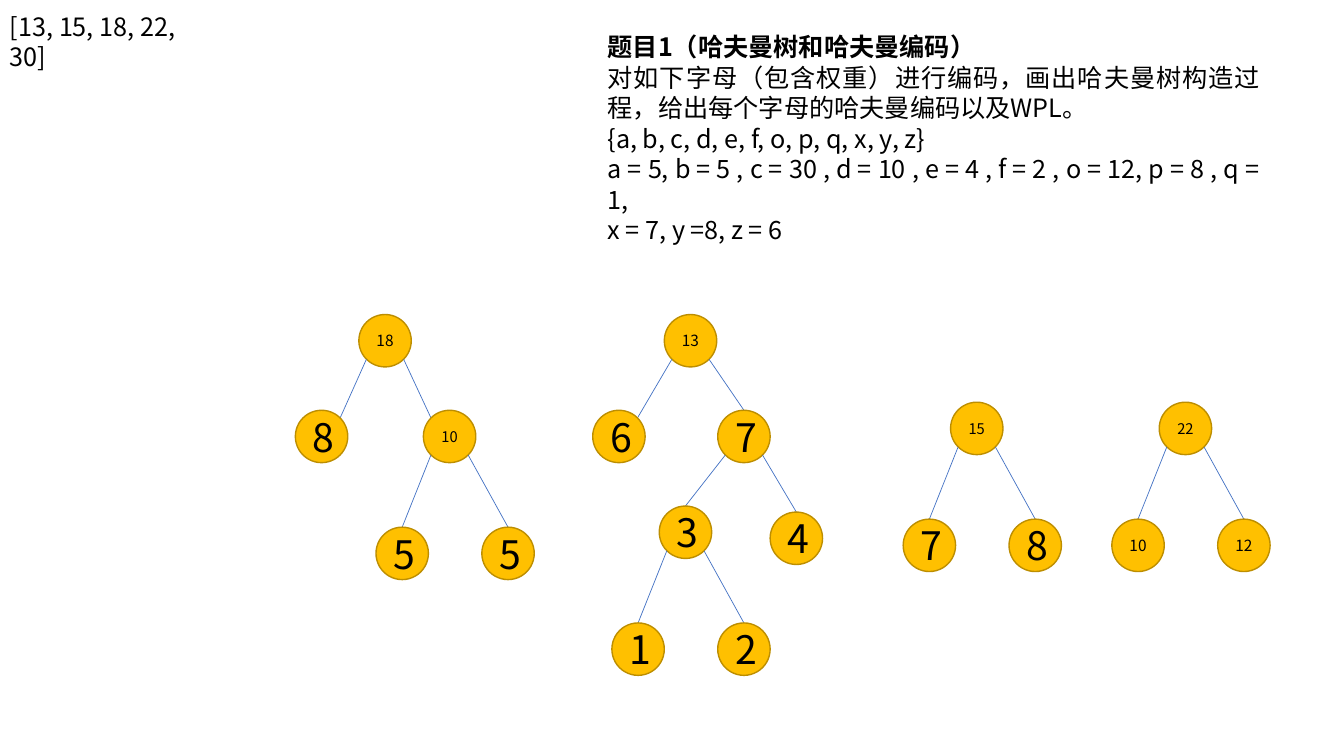
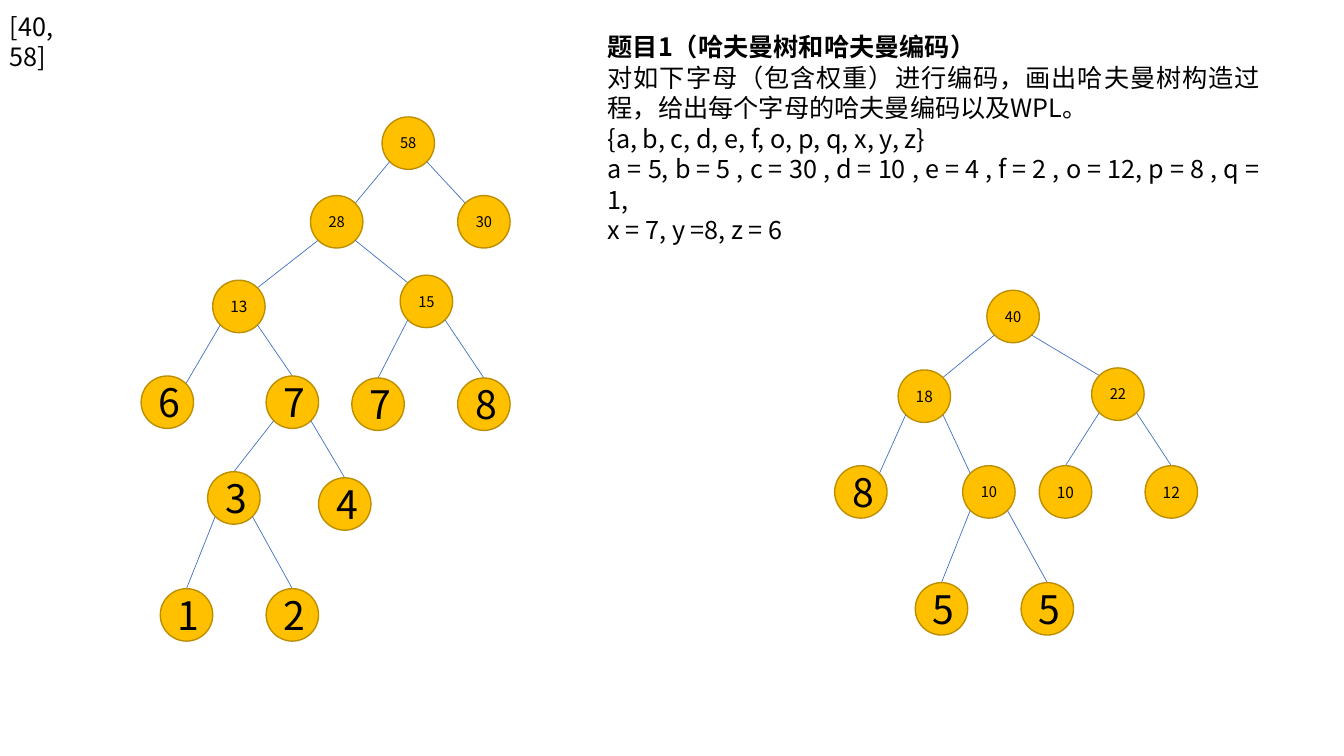
from dataclasses import dataclass, replace
from typing import Optional

from lxml import etree
from pptx import Presentation
from pptx.dml.color import RGBColor
from pptx.enum.shapes import MSO_CONNECTOR, MSO_SHAPE
from pptx.enum.text import MSO_ANCHOR, MSO_AUTO_SIZE, PP_ALIGN as Align
from pptx.oxml.ns import qn
from pptx.util import Emu, Inches, Pt

# Grid: square cells, 10 to the inch
CELL = Inches(0.1)
SLIDE_COLUMNS, SLIDE_ROWS = 133.33, 75
NODE_SIZE = 5.2
# Inset of the diagonal points on a node's rim
NEAR = 0.75
FAR = NODE_SIZE - NEAR

# Shared style
FONT = "Noto Sans CJK SC"
BLACK = RGBColor(0x00, 0x00, 0x00)
NODE_FILL = RGBColor(0xFF, 0xC0, 0x00)
NODE_LINE = RGBColor(0xBD, 0x8E, 0x00)
EDGE_LINE = RGBColor(0x44, 0x72, 0xC4)
TEXT_SIZE, TEXT_LEADING = 18, 21.8
DIGIT_SIZE, NUMBER_SIZE, LARGER_NUMBER_SIZE = 28, 10.5, 11

QUESTION_TITLE = "题目1（哈夫曼树和哈夫曼编码）"
QUESTION_LINES = [
    "对如下字母（包含权重）进行编码，画出哈夫曼树构造过程，给出每个字母的哈夫曼编码以及WPL。",
    "{a, b, c, d, e, f, o, p, q, x, y, z}",
    "a = 5, b = 5 , c = 30 , d = 10 , e = 4 , f = 2 , o = 12, p = 8 , q = 1,",
    "x = 7, y =8, z = 6",
]


@dataclass(frozen=True)
class Node:
    """A tree node; columns and rows count from its parent, or from the slide."""
    weight: int
    columns: float = 0
    rows: float = 0
    left: Optional["Node"] = None
    right: Optional["Node"] = None
    size: Optional[float] = None
    joins_at_corner: bool = False


@dataclass(frozen=True)
class Step:
    queue: str
    queue_columns: float
    trees: tuple[Node, ...]


def place(node: Node, columns: float, rows: float, corner: bool = False) -> Node:
    return replace(node, columns=columns, rows=rows, joins_at_corner=corner)


def leaf_pair(weight: int, left: int, right: int, start: float = -4.7,
              rows: float = 11.6, size: Optional[float] = None) -> Node:
    """A parent over two leaves that stand 10.5 columns apart."""
    return Node(weight,
                left=Node(left, start, rows, size=size),
                right=Node(right, start + 10.5, rows, size=size))


# Subtrees that both steps use
TREE_3 = leaf_pair(3, 1, 2)
TREE_7 = Node(7, left=place(TREE_3, -5.8, 9.5), right=Node(4, 5.2, 10.1))
TREE_13 = Node(13, size=LARGER_NUMBER_SIZE,
               left=Node(6, -7.1, 9.5, joins_at_corner=True),
               right=place(TREE_7, 5.3, 9.5))
TREE_18 = Node(18, size=LARGER_NUMBER_SIZE,
               left=Node(8, -6.3, 9.5, joins_at_corner=True),
               right=place(leaf_pair(10, 5, 5), 6.4, 9.5, corner=True))

# Final trees
SHORT_15 = leaf_pair(15, 7, 8, start=-4.8, rows=10.2)
SHORT_22 = leaf_pair(22, 10, 12, start=-5.2, rows=9.7, size=LARGER_NUMBER_SIZE)
TREE_28 = Node(28, left=place(TREE_13, -9.7, 8.4, corner=True),
               right=place(SHORT_15, 8.9, 7.9, corner=True))
TREE_58 = Node(58, left=place(TREE_28, -7.1, 7.8, corner=True),
               right=Node(30, 7.5, 7.8, joins_at_corner=True))
TREE_40 = Node(40, left=place(TREE_18, -8.8, 7.9, corner=True),
               right=place(SHORT_22, 10.4, 7.7, corner=True))

STEPS = (
    Step("[13, 15, 18, 22, 30]", 21.8, (
        place(TREE_18, 35.6, 31.2),
        place(TREE_13, 65.9, 31.2),
        place(leaf_pair(15, 7, 8), 94.3, 39.9),
        place(leaf_pair(22, 10, 12, size=LARGER_NUMBER_SIZE), 115, 39.9),
    )),
    Step("[40, 58]", 10.1, (
        place(TREE_58, 37.9, 11.6),
        place(TREE_40, 97.9, 28.8),
    )),
)


def cells(count: float) -> Emu:
    return Emu(round(count * CELL))


def write(shape, lines: list[str], *, size: float = TEXT_SIZE,
          align: Align = Align.LEFT, leading: Optional[float] = None,
          bold_first: bool = False) -> None:
    frame = shape.text_frame
    frame.word_wrap = True
    for index, line in enumerate(lines):
        paragraph = frame.paragraphs[0] if index == 0 else frame.add_paragraph()
        paragraph.alignment = align
        if leading:
            paragraph.line_spacing = Pt(leading)
        run = paragraph.add_run()
        run.text = line
        run.font.name = FONT
        run.font.size = Pt(size)
        run.font.bold = bold_first and index == 0
        run.font.color.rgb = BLACK
        east_asian = etree.SubElement(run.font._element, qn("a:ea"))
        east_asian.set("typeface", FONT)


def add_text(slide, lines: list[str], columns: float, rows: float,
             width: float, height: float, **text_format) -> None:
    box = slide.shapes.add_textbox(*map(cells, (columns, rows, width, height)))
    box.text_frame.auto_size = MSO_AUTO_SIZE.SHAPE_TO_FIT_TEXT
    write(box, lines, leading=TEXT_LEADING, **text_format)


def add_edge(slide, start: tuple[float, float], end: tuple[float, float]) -> None:
    edge = slide.shapes.add_connector(MSO_CONNECTOR.STRAIGHT, *map(cells, start + end))
    edge.line.color.rgb = EDGE_LINE
    edge.line.width = Pt(0.5)
    etree.SubElement(edge._element.spPr, qn("a:effectLst"))


def add_node(slide, node: Node, columns: float, rows: float) -> None:
    circle = slide.shapes.add_shape(
        MSO_SHAPE.OVAL, *map(cells, (columns, rows, NODE_SIZE, NODE_SIZE)))
    circle.shadow.inherit = False
    circle.fill.solid()
    circle.fill.fore_color.rgb = NODE_FILL
    circle.line.color.rgb = NODE_LINE
    circle.line.width = Pt(1)
    circle.text_frame.vertical_anchor = MSO_ANCHOR.MIDDLE
    default_size = DIGIT_SIZE if node.weight < 10 else NUMBER_SIZE
    write(circle, [str(node.weight)], size=node.size or default_size, align=Align.CENTER)


def add_tree(slide, node: Node, columns: float = 0, rows: float = 0) -> None:
    """Draw a node, then the edge to each child and that child's own tree."""
    columns, rows = columns + node.columns, rows + node.rows
    add_node(slide, node, columns, rows)
    for child, leave, enter in ((node.left, NEAR, FAR), (node.right, FAR, NEAR)):
        if child is None:
            continue
        across, down = (enter, NEAR) if child.joins_at_corner else (NODE_SIZE / 2, 0)
        add_edge(slide, (columns + leave, rows + FAR),
                 (columns + child.columns + across, rows + child.rows + down))
        add_tree(slide, child, columns, rows)


def add_step(presentation, step: Step) -> None:
    slide = presentation.slides.add_slide(presentation.slide_layouts[6])
    add_text(slide, [QUESTION_TITLE, *QUESTION_LINES], 59.3, 2.6, 66.7, 22.2,
             align=Align.JUSTIFY, bold_first=True)
    add_text(slide, [step.queue], 0, 0.6, step.queue_columns, 4)
    for tree in step.trees:
        add_tree(slide, tree)


def main() -> None:
    presentation = Presentation()
    presentation.slide_width = cells(SLIDE_COLUMNS)
    presentation.slide_height = cells(SLIDE_ROWS)
    for step in STEPS:
        add_step(presentation, step)
    presentation.save("out.pptx")


if __name__ == "__main__":
    main()
